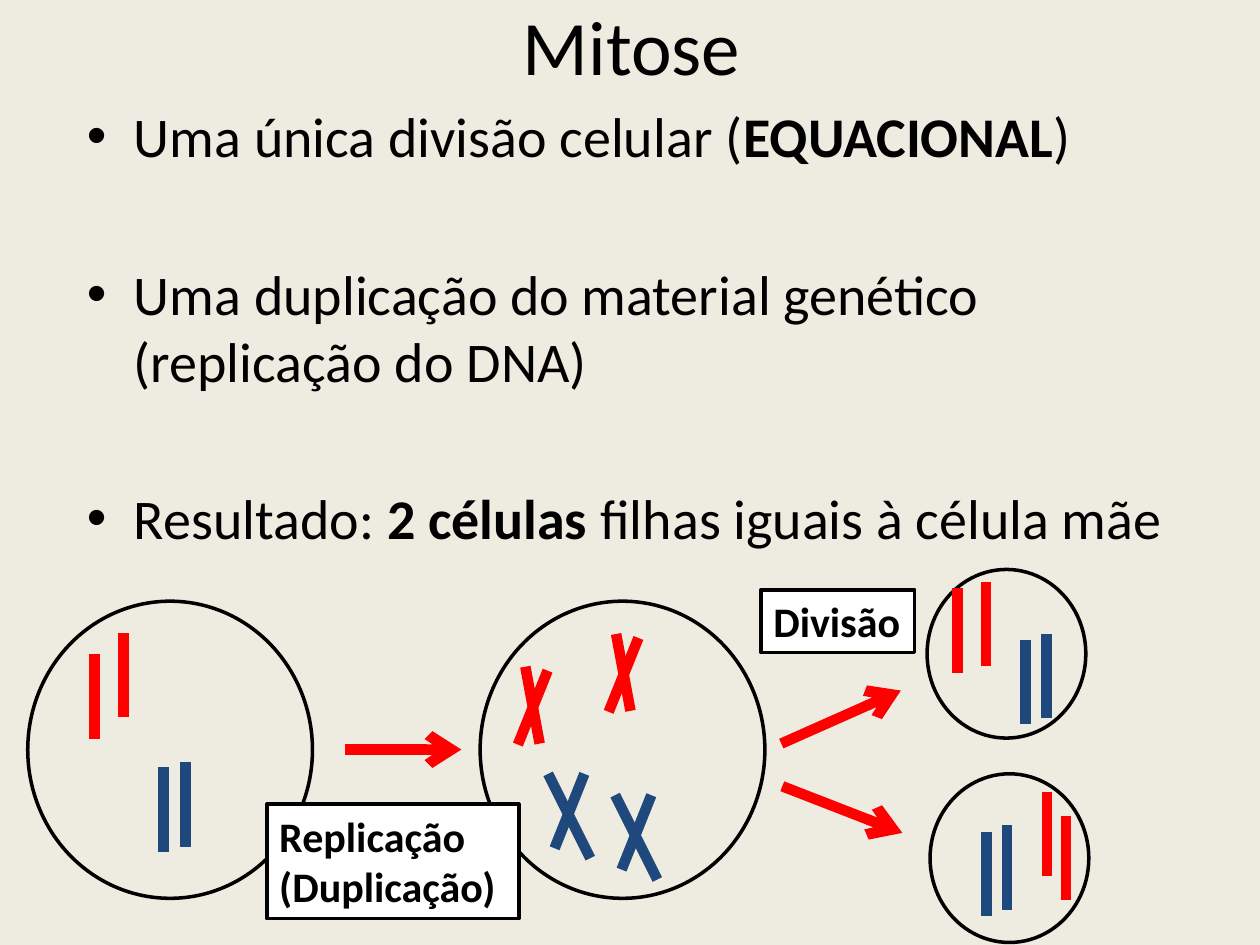
from pptx import Presentation
from pptx.dml.color import RGBColor
from pptx.enum.shapes import MSO_CONNECTOR, MSO_SHAPE
from pptx.enum.text import MSO_ANCHOR, PP_ALIGN
from pptx.oxml.ns import qn
from pptx.util import Cm, Pt
from lxml.etree import SubElement

BLACK = RGBColor(0x00, 0x00, 0x00)
WHITE = RGBColor(0xFF, 0xFF, 0xFF)
CREAM = RGBColor(0xEE, 0xEC, 0xE1)
RED = RGBColor(0xFF, 0x00, 0x00)
BLUE = RGBColor(0x1F, 0x49, 0x7D)
FONT = "Calibri"

BULLETS = [
    [("Uma única divisão celular (", False), ("EQUACIONAL", True), (")", False)],
    [("Uma duplicação do material genético (replicação do DNA)", False)],
    [("Resultado: ", False), ("2 células ", True), ("filhas iguais à célula mãe", False)],
]

ROD = [(0, 0, 0, 1.7)]
RED_CROSS = [(0, 0, 0.29, 1.55), (0.45, 0.08, -0.15, 1.57)]
BLUE_CROSS = [(0, 0, 0.85, 1.7), (0.73, 0, 0.13, 1.5)]

CELLS = [
    ((0.56, 12.12, 5.74, 5.99), ROD, [(1.35, 1.07), (1.93, 0.64)],
     ROD, [(2.74, 3.35), (3.18, 3.25)]),
    ((9.68, 12.12, 5.74, 5.99), RED_CROSS, [(0.91, 1.32), (2.74, 0.66)],
     BLUE_CROSS, [(1.37, 3.48), (2.72, 3.91)]),
    ((18.69, 11.48, 3.2, 3.4), ROD, [(0.61, 0.38), (1.19, 0.25)],
     ROD, [(1.98, 1.42), (2.41, 1.3)]),
    ((18.75, 15.6, 3.2, 3.4), ROD, [(2.36, 0.36), (2.74, 0.84)],
     ROD, [(1.14, 1.17), (1.55, 1.04)]),
]
ARROWS = [
    (6.96, 15.11, 9.3, 15.11),
    (15.75, 14.99, 18.16, 13.92),
    (15.77, 15.85, 18.19, 16.79),
]
LABELS = [
    ("Replicação (Duplicação)", (5.38, 16.21, 5.08, 2.31)),
    ("Divisão", (15.34, 11.89, 3.1, 1.27)),
]


def set_font(font, size, bold=None):
    """Apply the slide's typeface in black at the given size."""
    font.name = FONT
    font.size = Pt(size)
    font.bold = bold
    font.color.rgb = BLACK


def add_title(page, text, box):
    """Move the title placeholder into the box and fill it."""
    title = page.shapes.title
    title.left, title.top, title.width, title.height = map(Cm, box)
    title.text_frame.text = text
    title.text_frame.vertical_anchor = MSO_ANCHOR.MIDDLE
    para = title.text_frame.paragraphs[0]
    para.alignment = PP_ALIGN.CENTER
    set_font(para.font, 44)


def add_bullets(page, items, box):
    """Write the bulleted statements, widely spaced, into the box."""
    frame = page.shapes.add_textbox(*map(Cm, box)).text_frame
    frame.word_wrap = True
    for index, spans in enumerate(items):
        para = frame.add_paragraph() if index else frame.paragraphs[0]
        para.space_before = Pt(51.5 if index else 0)
        properties = para._p.get_or_add_pPr()
        properties.set("marL", str(Cm(0.95)))
        properties.set("indent", str(-Cm(0.95)))
        SubElement(properties, qn("a:buFont")).set("typeface", "Arial")
        SubElement(properties, qn("a:buChar")).set("char", "•")
        set_font(para.font, 32)
        for text, bold in spans:
            span = para.add_run()
            span.text = text
            if bold:
                span.font.bold = True


def add_line(page, ends, color, arrow=False):
    """Draw a thick straight line, with an arrowhead if asked."""
    line = page.shapes.add_connector(MSO_CONNECTOR.STRAIGHT, *map(Cm, ends))
    line.line.color.rgb = color
    line.line.width = Pt(6)
    if arrow:
        SubElement(line.line._get_or_add_ln(), qn("a:tailEnd")).set("type", "arrow")
    SubElement(line._element.spPr, qn("a:effectLst"))


def add_chromosomes(page, box, strands, places, color):
    """Draw one set of strands at each place inside the cell's box."""
    for across, down in places:
        left, top = box[0] + across, box[1] + down
        for x1, y1, x2, y2 in strands:
            add_line(page, (left + x1, top + y1, left + x2, top + y2), color)


def add_cell(page, box, red_strands, red_places, blue_strands, blue_places):
    """Draw a cell outline with its red and blue chromosomes."""
    cell = page.shapes.add_shape(MSO_SHAPE.OVAL, *map(Cm, box))
    cell.shadow.inherit = False
    cell.fill.background()
    cell.line.color.rgb = BLACK
    cell.line.width = Pt(2)
    add_chromosomes(page, box, red_strands, red_places, RED)
    add_chromosomes(page, box, blue_strands, blue_places, BLUE)


def add_label(page, text, box):
    """Place a framed white stage label in the box."""
    label = page.shapes.add_shape(MSO_SHAPE.RECTANGLE, *map(Cm, box))
    label.shadow.inherit = False
    label.fill.solid()
    label.fill.fore_color.rgb = WHITE
    label.line.color.rgb = BLACK
    label.line.width = Pt(2)
    frame = label.text_frame
    frame.word_wrap = True
    frame.vertical_anchor = MSO_ANCHOR.TOP
    frame.text = text
    para = frame.paragraphs[0]
    para.alignment = PP_ALIGN.LEFT
    set_font(para.font, 24, True)


def main():
    """Build the mitosis slide and save it."""
    deck = Presentation()
    deck.slide_width, deck.slide_height = Cm(25.4), Cm(19.05)
    page = deck.slides.add_slide(deck.slide_layouts[5])
    page.background.fill.solid()
    page.background.fill.fore_color.rgb = CREAM
    add_title(page, "Mitose", (1.3, -0.69, 22.86, 3.18))
    add_bullets(page, BULLETS, (1.5, 1.93, 22.86, 12.57))
    for cell in CELLS:
        add_cell(page, *cell)
    for ends in ARROWS:
        add_line(page, ends, RED, arrow=True)
    for text, box in LABELS:
        add_label(page, text, box)
    deck.save("out.pptx")


if __name__ == "__main__":
    main()
